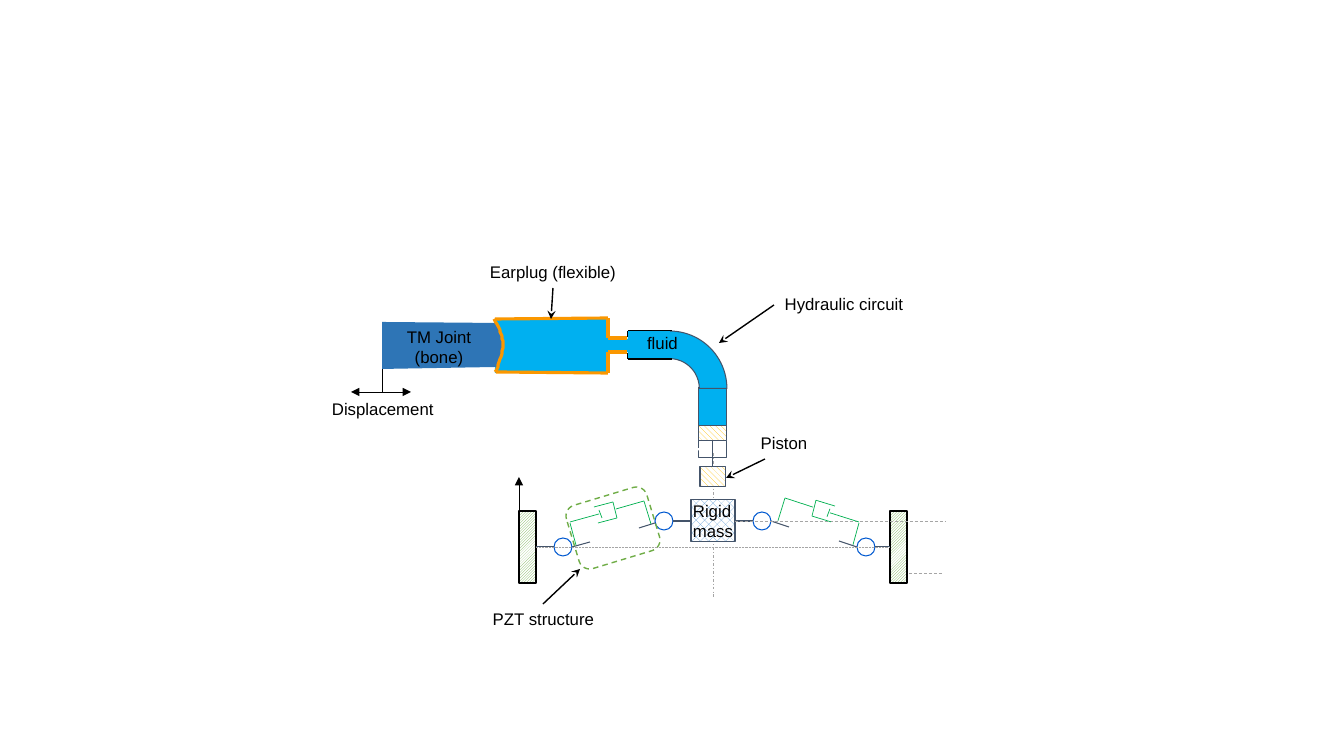
from lxml import etree
from pptx import Presentation
from pptx.dml.color import RGBColor
from pptx.enum.dml import MSO_LINE, MSO_PATTERN
from pptx.enum.shapes import MSO_CONNECTOR, MSO_SHAPE
from pptx.enum.text import PP_ALIGN
from pptx.oxml.ns import qn
from pptx.util import Emu, Pt

BLACK = RGBColor(0x00, 0x00, 0x00)
WHITE = RGBColor(0xFF, 0xFF, 0xFF)
SLATE = RGBColor(0x44, 0x54, 0x6A)
GREY = RGBColor(0xA5, 0xA5, 0xA5)
FLUID = RGBColor(0x00, 0xB0, 0xF0)
BONE = RGBColor(0x2E, 0x75, 0xB6)
ORANGE = RGBColor(0xFA, 0x97, 0x00)
AMBER = RGBColor(0xFF, 0xC0, 0x00)
GRASS = RGBColor(0x70, 0xAD, 0x47)
GREEN = RGBColor(0x00, 0xB0, 0x50)
SKY = RGBColor(0x5B, 0x9B, 0xD5)
HINGE = RGBColor(0x00, 0x59, 0xD0)

RECT, OVAL = MSO_SHAPE.RECTANGLE, MSO_SHAPE.OVAL
ROUND, ARC = MSO_SHAPE.ROUNDED_RECTANGLE, MSO_SHAPE.BLOCK_ARC
PROCESS = MSO_SHAPE.FLOWCHART_PROCESS
STRAIGHT = MSO_CONNECTOR.STRAIGHT
DASH, DASH_DOT, SYS_DASH = MSO_LINE.DASH, MSO_LINE.DASH_DOT, MSO_LINE.SQUARE_DOT
DOWN_DIAG = MSO_PATTERN.WIDE_DOWNWARD_DIAGONAL
UP_DIAG = MSO_PATTERN.LIGHT_UPWARD_DIAGONAL
PCT40 = MSO_PATTERN.from_xml("pct40")
CENTER, LEFT = PP_ALIGN.CENTER, PP_ALIGN.LEFT
TOP_SIDE, LEFT_SIDE, BOTTOM_SIDE, RIGHT_SIDE = range(4)
SCALE = 914400 / 100.8


def px(n):
    return Emu(round(n * SCALE))


def style(shape, fill=None, pattern=None, color=None, width=0.75, dash=None):
    shape.shadow.inherit = False
    if pattern:
        shape.fill.patterned()
        shape.fill.pattern = pattern
        shape.fill.fore_color.rgb = fill
        shape.fill.back_color.rgb = WHITE
    elif fill is not None:
        shape.fill.solid()
        shape.fill.fore_color.rgb = fill
    else:
        shape.fill.background()
    if color is None:
        shape.line.fill.background()
    else:
        shape.line.color.rgb = color
        shape.line.width = Pt(width)
        if dash:
            shape.line.dash_style = dash
    return shape


def block(s, box, x, y, w, h, kind=RECT, **fmt):
    sp = s.shapes.add_shape(kind, px(box[0] + x), px(box[1] + y), px(w), px(h))
    return style(sp, **fmt)


def outline(s, box, points, close, **fmt):
    points = [(box[0] + x, box[1] + y) for x, y in points]
    fb = s.shapes.build_freeform(*points[0], scale=SCALE)
    fb.add_line_segments(points[1:], close=close)
    return style(fb.convert_to_shape(), **fmt)


def line(s, box, x1, y1, x2, y2, color=SLATE, width=0.75, dash=None,
         head=None, tail=None, begin=None, end=None):
    bx, by = box
    c = s.shapes.add_connector(STRAIGHT, px(bx + x1), px(by + y1), px(bx + x2), px(by + y2))
    c.line.color.rgb = color
    c.line.width = Pt(width)
    if dash:
        c.line.dash_style = dash
    ln = c.line._get_or_add_ln()
    for tag, arrow in (("a:headEnd", head), ("a:tailEnd", tail)):
        if arrow:
            etree.SubElement(ln, qn(tag)).set("type", arrow)
    etree.SubElement(c._element.spPr, qn("a:effectLst"))
    if begin:
        c.begin_connect(*begin)
    if end:
        c.end_connect(*end)


def label(s, box, x, y, w, h, text, align=CENTER, wrap=True):
    tf = s.shapes.add_textbox(px(box[0] + x), px(box[1] + y), px(w), px(h)).text_frame
    tf.word_wrap = wrap
    for i, words in enumerate(text.split("\n")):
        p = tf.paragraphs[0] if i == 0 else tf.add_paragraph()
        p.alignment = align
        r = p.add_run()
        r.text = words
        r.font.size = Pt(12)
        r.font.name = "Arial"
        r.font.color.rgb = BLACK


def bezier(p0, p1, p2, p3, steps=12):
    for i in range(steps + 1):
        t = i / steps
        u = 1 - t
        yield tuple(round(u**3 * a + 3 * u * u * t * b + 3 * u * t * t * c + t**3 * d, 2)
                    for a, b, c, d in zip(p0, p1, p2, p3))


def hydraulic_circuit(s, box):
    line(s, box, 85, 122, 85, 268, color=GREY, width=0.5, dash=DASH_DOT)
    block(s, box, 71, 57, 28, 52, fill=FLUID, color=SLATE)
    block(s, box, 71, 104, 28, 23, color=SLATE)
    upper = block(s, box, 71, 95, 28, 15, fill=AMBER, pattern=DOWN_DIAG, color=SLATE)
    lower = block(s, box, 72, 136, 26, 20, fill=AMBER, pattern=DOWN_DIAG, color=SLATE)
    line(s, box, 85, 136, 85, 110, begin=(lower, TOP_SIDE), end=(upper, BOTTOM_SIDE))
    line(s, box, 74, 118, 61, 119, color=WHITE, width=1.5)
    bend = block(s, box, -16, 0, 115, 115, kind=ARC, fill=FLUID, color=SLATE)
    for i, value in enumerate((162, 0, 0.24)):
        bend.adjustments[i] = value
    block(s, box, 0, 0, 42, 28, fill=FLUID)
    for y in (0, 28):
        line(s, box, 0, y, 44, y, color=BLACK)
    for y in (0, 22):
        line(s, box, 0, y, 0, y + 6, color=BLACK)
    label(s, box, -4, -3, 77, 30, "fluid")
    label(s, box, 146, -42, 140, 30, "Hydraulic circuit", wrap=False)
    line(s, box, 146, -26, 91, 12, color=BLACK, width=1, tail="stealth")
    label(s, box, 115, 97, 82, 30, "Piston")
    line(s, box, 137, 128, 98, 147, color=BLACK, width=1, tail="stealth")


def pzt_structure(s, box, side, lift):
    segments = ((24, 7, 43, 2), (28, 23, 47, 18), (43, 2, 47, 18), (29, 10, 32, 18),
                (0, 22, 29, 14), (46, 9, 74, 1), (0, 23, 6, 45), (74, 1, 81, 24))
    for x1, y1, x2, y2 in segments:
        line(s, box, side * x1, y1 - lift * x1 / 74, side * x2, y2 - lift * x2 / 74,
             color=GREEN, width=0.5)


def mechanism(s, box):
    line(s, box, 0, 36, 0, 0, color=BLACK, width=0.5, tail="triangle")
    left_wall, right_wall = [
        block(s, box, x, 34, 17, 72, fill=GRASS, pattern=UP_DIAG, color=BLACK, width=1)
        for x in (0, 371)]
    mass = block(s, box, 172, 23, 44, 42, kind=PROCESS, fill=SKY, pattern=PCT40, color=SLATE)
    label(s, box, 164, 19, 66, 50, "Rigid\nmass", align=LEFT)
    for x, y in ((35, 61), (136, 35), (234, 35), (338, 61)):
        block(s, box, x, y, 18, 18, kind=OVAL, color=HINGE)
    line(s, box, 154, 44, 172, 44, end=(mass, LEFT_SIDE))
    line(s, box, 216, 44, 234, 44, begin=(mass, RIGHT_SIDE))
    line(s, box, 17, 70, 35, 70, begin=(left_wall, RIGHT_SIDE))
    line(s, box, 356, 70, 371, 70, end=(right_wall, LEFT_SIDE))
    for arm in ((120, 51, 136, 46), (53, 70, 71, 65), (252, 44, 270, 50), (320, 64, 338, 70)):
        line(s, box, *arm)
    line(s, box, 216, 44, 427, 44, color=GREY, width=0.5, dash=DASH, begin=(mass, RIGHT_SIDE))
    line(s, box, 17, 70, 371, 70, color=GREY, width=0.25, dash=SYS_DASH,
         begin=(left_wall, RIGHT_SIDE), end=(right_wall, LEFT_SIDE))
    line(s, box, 390, 96, 424, 96, color=GREY, width=0.5, dash=DASH)
    x, y = box
    pzt_structure(s, (x + 51, y + 23), 1, 0)
    pzt_structure(s, (x + 340, y + 23), -1, 3)
    frame = block(s, box, 52, 18, 84, 66, kind=ROUND, color=GRASS, width=1, dash=DASH)
    frame.rotation = 343.2
    line(s, box, 24, 127, 61, 92, color=BLACK, width=1, tail="stealth")
    label(s, box, -48, 127, 145, 30, "PZT structure")


def earplug(s, box):
    block(s, box, 0, 0, 113, 54, fill=FLUID)
    block(s, box, 111, 20, 23, 13, fill=FLUID)
    for start, outer, inner in (((0, 0), -1, 19), ((1, 53), 54, 33)):
        line(s, box, *start, 113, outer, color=ORANGE, width=2.25)
        line(s, box, 113, inner, 113, outer, color=ORANGE, width=2.25)
        line(s, box, 132, inner, 113, inner, color=ORANGE, width=2.25)
    label(s, box, -40, -62, 196, 30, "Earplug (flexible)")
    line(s, box, 58, -31, 56, 0, color=BLACK, width=1, tail="stealth")


def tm_joint(s, box):
    curve = [*bezier((112, 0), (116, 7), (120, 15), (121, 24)),
             *bezier((121, 24), (121, 33), (116, 49), (113, 53))]
    edge = [point for point in curve if 3 <= point[1] <= 50]
    outline(s, box, [(0, 3), *edge, (0, 50)], True, fill=BONE)
    outline(s, box, curve, False, color=ORANGE, width=2.25)
    label(s, box, -1, 3, 116, 50, "TM Joint\n(bone)")
    line(s, box, -31, 73, 29, 73, color=BLACK, width=0.5, head="triangle", tail="triangle")
    line(s, box, 0, 73, 0, 50, color=BLACK, width=0.5)
    label(s, box, -60, 75, 123, 30, "Displacement", align=LEFT, wrap=False)


def main():
    prs = Presentation()
    prs.slide_width, prs.slide_height = px(1344), px(756)
    s = prs.slides.add_slide(prs.slide_layouts[6])
    hydraulic_circuit(s, (628, 331))
    mechanism(s, (519, 477))
    earplug(s, (495, 319))
    tm_joint(s, (382, 319))
    prs.save("out.pptx")


if __name__ == "__main__":
    main()
